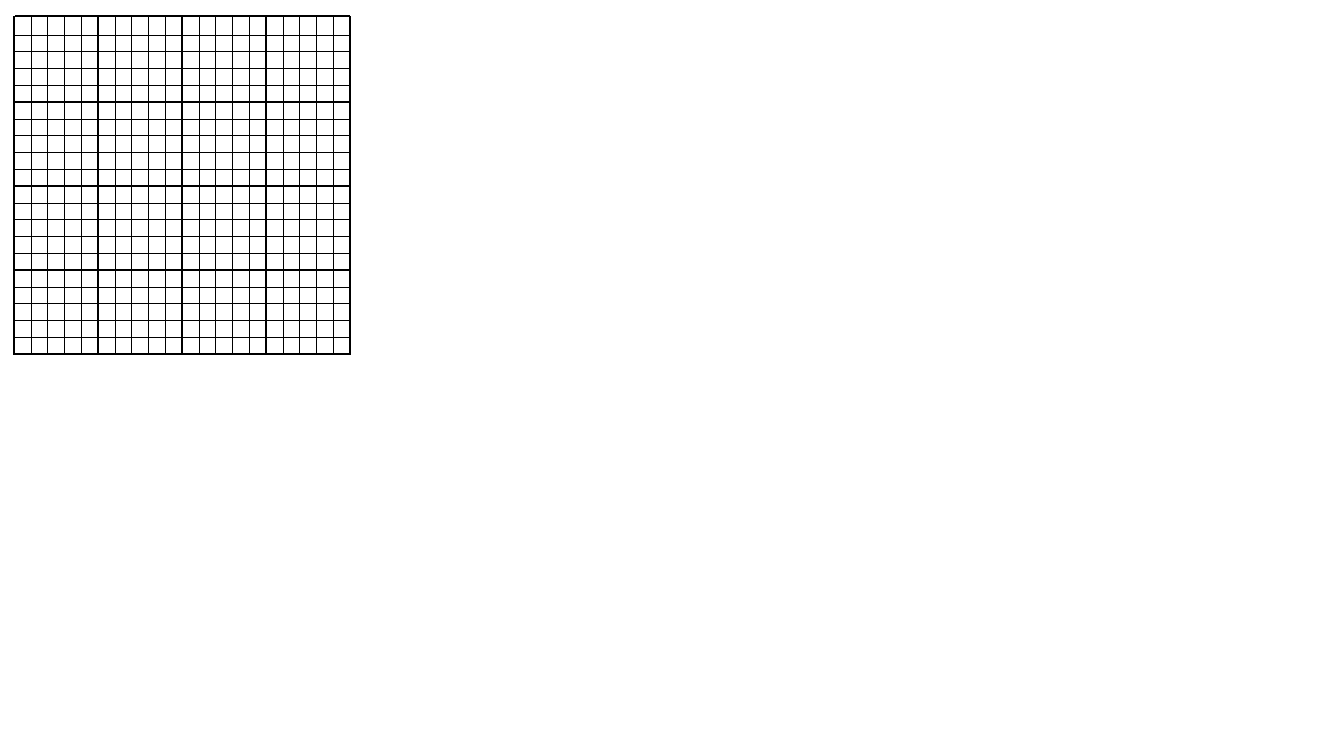
from pptx import Presentation
from pptx.dml.color import RGBColor
from pptx.enum.shapes import MSO_CONNECTOR
from pptx.oxml.ns import qn
from pptx.util import Inches, Pt
from lxml.etree import SubElement

COLORS = {"grid": "000000"}
CELLS = 20
MAJOR_EVERY = 5
CELL = 1 / 6
LEFT, RIGHT = 0.15, 3.47
TOP, BOTTOM = 0.16, 3.52
FIRST_COLUMN, FIRST_ROW = 0.14, 0.18


def add_grid_line(shapes, index, start, end):
    """Draw one grid line, heavier at every fifth index."""
    line = shapes.add_connector(
        MSO_CONNECTOR.STRAIGHT, *[Inches(value) for value in (*start, *end)]
    )
    line.line.color.rgb = RGBColor.from_string(COLORS["grid"])
    line.line.width = Pt(0.5 if index % MAJOR_EVERY else 1.5)
    SubElement(line._element.spPr, qn("a:effectLst"))


prs = Presentation()
prs.slide_width, prs.slide_height = Inches(13.33), Inches(7.5)
slide = prs.slides.add_slide(prs.slide_layouts[6])

# Rows, with the top border last and slightly above the regular spacing
for row in [*range(1, CELLS + 1), 0]:
    y = FIRST_ROW + row * CELL if row else TOP
    add_grid_line(slide.shapes, row, (LEFT, y), (RIGHT, y))

# Columns, grouped
columns = slide.shapes.add_group_shape()
for column in range(CELLS + 1):
    x = FIRST_COLUMN + column * CELL
    add_grid_line(columns.shapes, column, (x, TOP), (x, BOTTOM))

prs.save("out.pptx")
